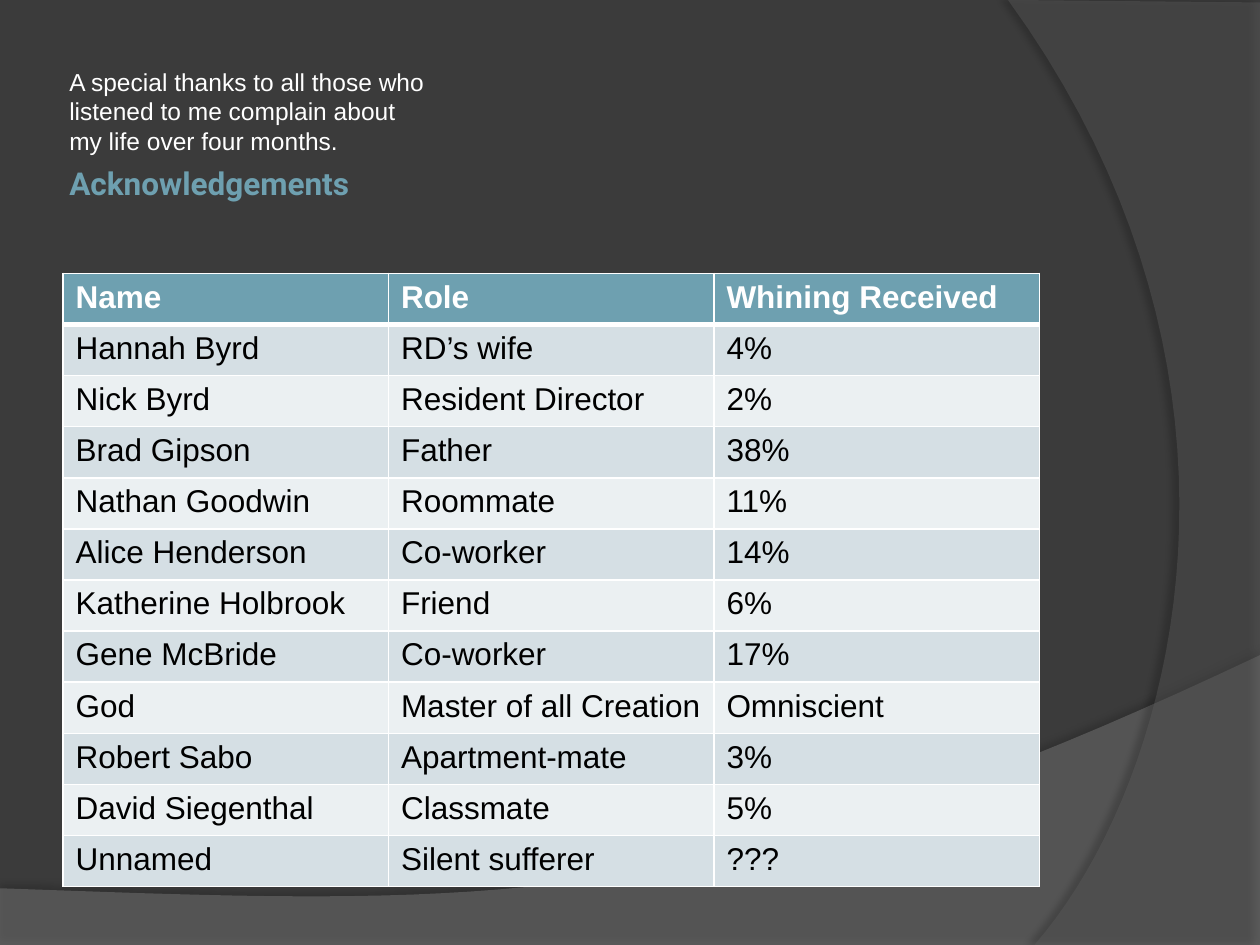
from lxml.etree import SubElement
from pptx import Presentation
from pptx.dml.color import RGBColor
from pptx.enum.text import MSO_ANCHOR, MSO_AUTO_SIZE, PP_ALIGN
from pptx.oxml.ns import qn
from pptx.util import Inches, Pt

WIDE, HIGH = 10, 7.5
LEFT = 0.05 * WIDE
TEAL, WHITE, BLACK = "6EA0B0", "FFFFFF", "000000"
BANDS = ("D5DFE4", "EBF0F2")
ROWS = (
    ("Name", "Role", "Whining Received"),
    ("Hannah Byrd", "RD’s wife", "4%"),
    ("Nick Byrd", "Resident Director", "2%"),
    ("Brad Gipson", "Father", "38%"),
    ("Nathan Goodwin", "Roommate", "11%"),
    ("Alice Henderson", "Co-worker", "14%"),
    ("Katherine Holbrook", "Friend", "6%"),
    ("Gene McBride", "Co-worker", "17%"),
    ("God", "Master of all Creation", "Omniscient"),
    ("Robert Sabo", "Apartment-mate", "3%"),
    ("David Siegenthal", "Classmate", "5%"),
    ("Unnamed", "Silent sufferer", "???"),
)


def paint(fill, color):
    fill.solid()
    fill.fore_color.rgb = RGBColor.from_string(color)


def style(para, size, color, bold=False, face="Arial"):
    font = para.font
    font.size, font.bold, font.name = Pt(size), bold, face
    font.color.rgb = RGBColor.from_string(color)
    para.alignment = PP_ALIGN.LEFT


def curve(start, one, two, end, steps=40):
    for step in range(steps + 1):
        t = step / steps
        u = 1 - t
        yield tuple(
            u**3 * a + 3 * u * u * t * b + 3 * u * t * t * c + t**3 * d
            for a, b, c, d in zip(start, one, two, end)
        )


def fade(node, share):
    SubElement(node, qn("a:alpha"), val=str(share * 1000))


def add_wave(slide, points, color, alpha, shade, gap, angle):
    spots = [(Inches(x), Inches(y)) for x, y in points]
    pen = slide.shapes.build_freeform(*spots[0])
    pen.add_line_segments(spots[1:], close=True)
    wave = pen.convert_to_shape()
    paint(wave.fill, color)
    wave.line.fill.background()
    wave.shadow.inherit = False
    props = wave.element.spPr
    fade(props.find(qn("a:solidFill"))[0], alpha)
    drop = SubElement(
        props.find(qn("a:effectLst")), qn("a:outerShdw"),
        blurRad=str(Pt(4)), dist=str(Pt(gap)), dir=str(angle * 60000),
        algn="ctr", rotWithShape="0",
    )
    fade(SubElement(drop, qn("a:srgbClr"), val=BLACK), shade)


def set_text(shape, text, box, anchor, *look):
    shape.left, shape.top, shape.width, shape.height = map(Inches, box)
    frame = shape.text_frame
    frame.text = text
    frame.word_wrap = True
    frame.auto_size = MSO_AUTO_SIZE.NONE
    frame.vertical_anchor = anchor
    frame.margin_left = frame.margin_right = Inches(0.05)
    frame.margin_top = frame.margin_bottom = 0
    style(frame.paragraphs[0], *look)


def add_edge(cell, side, width):
    edge = SubElement(cell._tc.get_or_add_tcPr(), qn(f"a:ln{side}"), w=str(Pt(width)))
    fill = SubElement(edge, qn("a:solidFill"))
    SubElement(fill, qn("a:srgbClr"), val=WHITE)


def add_grid(slide):
    box = map(Inches, (LEFT, 2.17, 7.75, 4.87))
    table = slide.shapes.add_table(len(ROWS), len(ROWS[0]), *box).table
    for r, row in enumerate(ROWS):
        head = r == 0
        for c, text in enumerate(row):
            cell = table.cell(r, c)
            cell.text = text
            style(cell.text_frame.paragraphs[0], 18, WHITE if head else BLACK, head)
            for side in "LRTB":
                thick = (r, side) in ((0, "B"), (1, "T"))
                add_edge(cell, side, 3 if thick else 1)
            paint(cell.fill, TEAL if head else BANDS[(r - 1) % 2])


def main():
    deck = Presentation()
    deck.slide_width, deck.slide_height = Inches(WIDE), Inches(HIGH)
    slide = deck.slides.add_slide(deck.slide_layouts[5])
    paint(slide.background.fill, "3B3B3B")
    floor = [(0, HIGH), (WIDE, HIGH)]
    floor += curve((WIDE, 5.2), (5.59, 7.29), (3.91, 7.19), (0, 7.05))
    add_wave(slide, floor, "7F7F7F", 45, 35, 3.5, 270)
    side = [(WIDE, 0.02), (WIDE, HIGH)]
    side += curve((8.21, HIGH), (9.35, 6.19), (10.18, 3), (8, 0))
    add_wave(slide, side, "5E5E5E", 40, 45, 4, 180)
    set_text(slide.shapes.title, "Acknowledgements", (LEFT, 1.3, 3.5, 0.8),
             MSO_ANCHOR.TOP, 18, TEAL, True, "Roboto")
    note = slide.shapes.add_textbox(0, 0, 0, 0)
    set_text(note, "A special thanks to all those who listened to me complain "
             "about my life over four months.", (LEFT, 0.23, 3, 1),
             MSO_ANCHOR.BOTTOM, 14, WHITE)
    add_grid(slide)
    deck.save("out.pptx")


if __name__ == "__main__":
    main()
